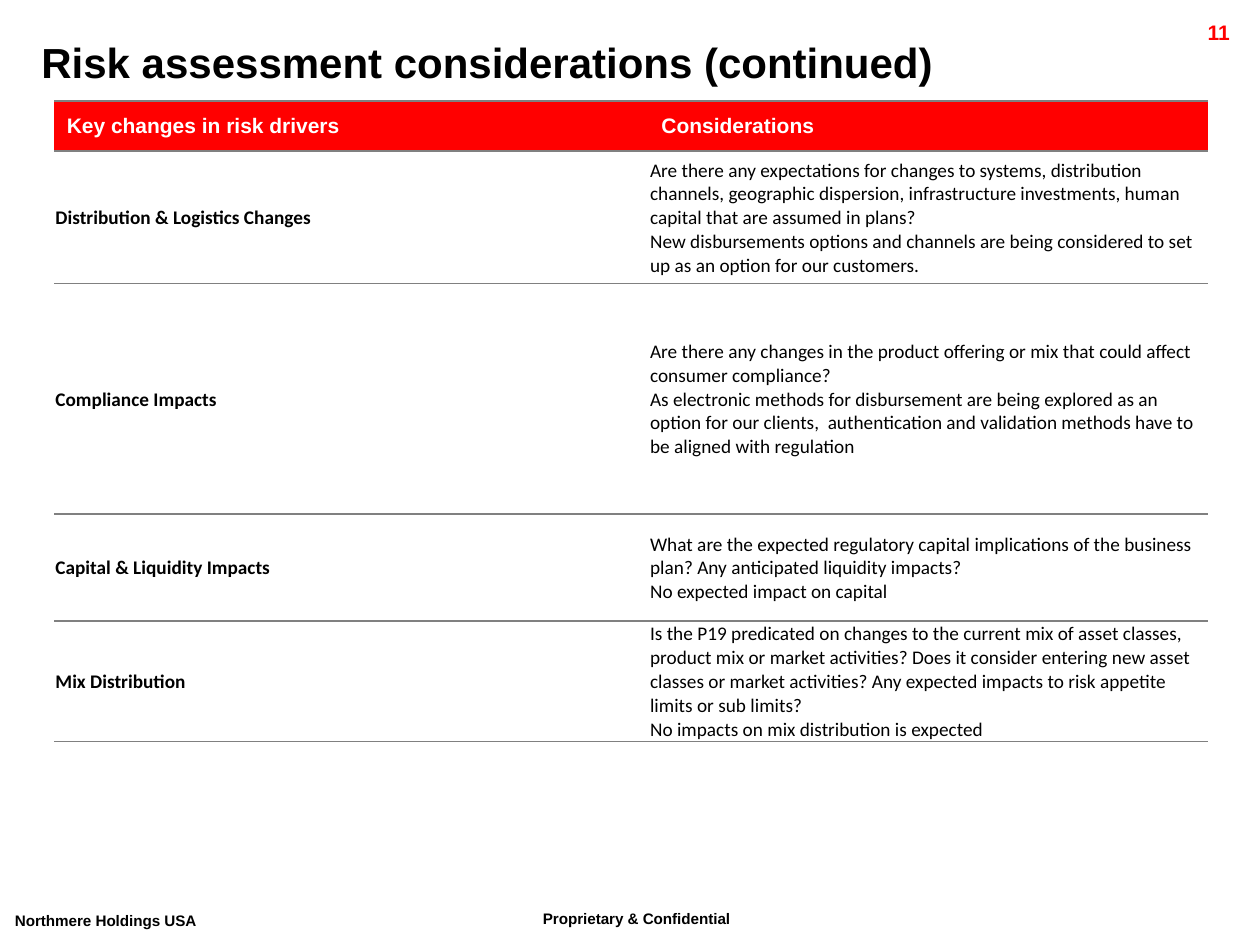
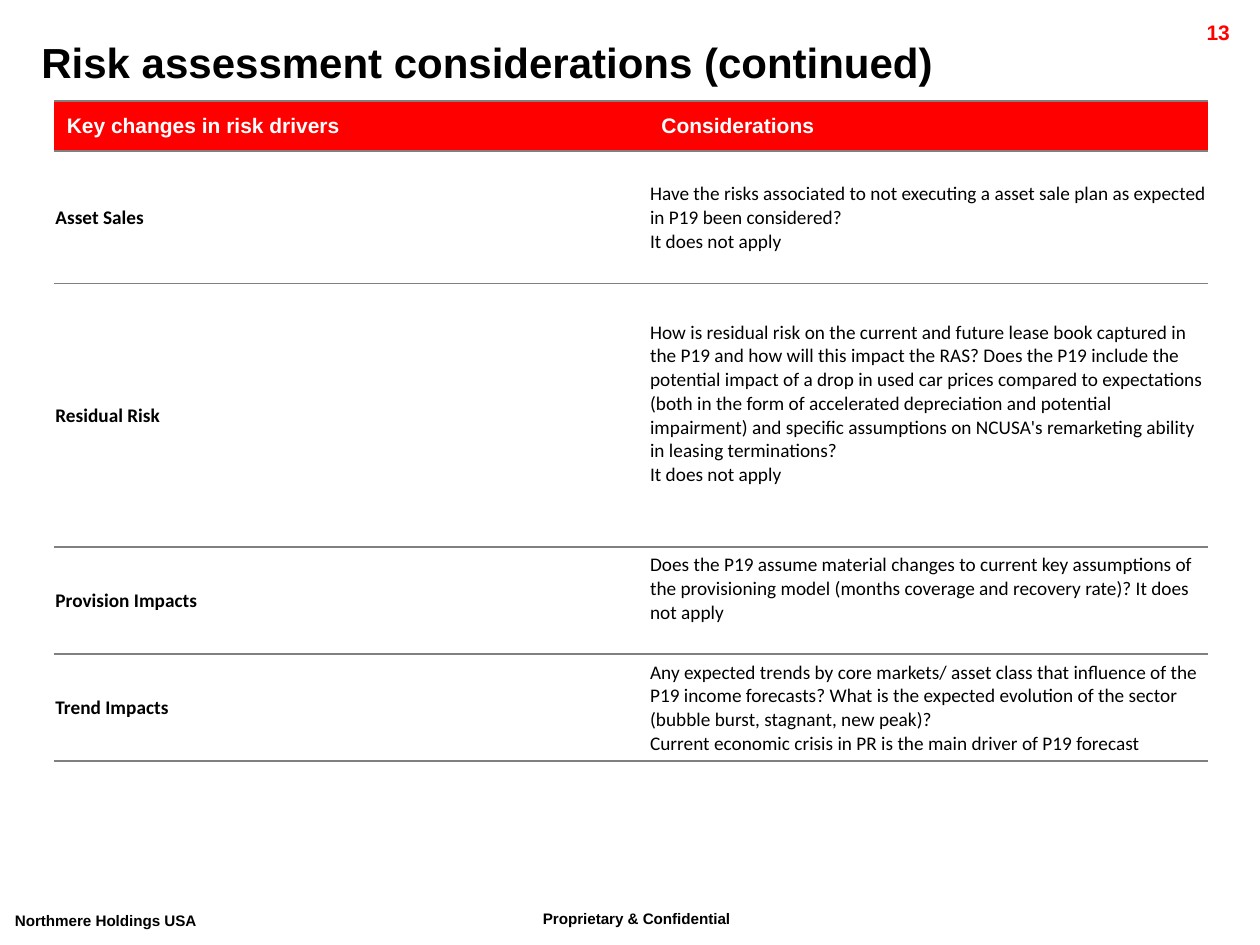
from dataclasses import dataclass

from lxml.etree import SubElement
from pptx import Presentation
from pptx.dml.color import RGBColor as RGB
from pptx.enum.text import MSO_ANCHOR as ANCHOR, MSO_AUTO_SIZE as AUTO, PP_ALIGN as ALIGN
from pptx.oxml.ns import qn
from pptx.util import Inches, Pt

TITLE = "Risk assessment considerations (continued)"
CONFIDENTIALITY = "Proprietary & Confidential"
COMPANY = "Northmere Holdings USA"
HEADINGS = ("Key changes in risk drivers", "Considerations")

# Each driver: name, row height, space kept under the considerations, considerations
SLIDES = [
    {"number": "11", "drivers": [
        ("Distribution & Logistics Changes", 1.05, 0, [
            "Are there any expectations for changes to systems, distribution channels, "
            "geographic dispersion, infrastructure investments, human capital that are "
            "assumed in plans?",
            "New disbursements options and channels are being considered to set up as an "
            "option for our customers."]),
        ("Compliance Impacts", 1.83, 0, [
            "Are there any changes in the product offering or mix that could affect "
            "consumer compliance?",
            "As electronic methods for disbursement are being explored as an option for "
            "our clients,  authentication and validation methods have to be aligned with "
            "regulation"]),
        ("Capital & Liquidity Impacts", 0.85, 0, [
            "What are the expected regulatory capital implications of the business plan? "
            "Any anticipated liquidity impacts?",
            "No expected impact on capital"]),
        ("Mix Distribution", 0.85, 0, [
            "Is the P19 predicated on changes to the current mix of asset classes, product "
            "mix or market activities? Does it consider entering new asset classes or "
            "market activities? Any expected impacts to risk appetite limits or sub limits?",
            "No impacts on mix distribution is expected"]),
    ]},
    {"number": "13", "drivers": [
        ("Asset Sales", 1.05, 0, [
            "Have the risks associated to not executing a asset sale plan as expected in "
            "P19 been considered?",
            "It does not apply"]),
        ("Residual Risk", 2.09, 0.19, [
            "How is residual risk on the current and future lease book captured in the P19 "
            "and how will this impact the RAS? Does the P19 include the potential impact of "
            "a drop in used car prices compared to expectations (both in the form of "
            "accelerated depreciation and potential impairment) and specific assumptions "
            "on NCUSA's remarketing ability in leasing terminations?",
            "It does not apply"]),
        ("Provision Impacts", 0.85, 0.19, [
            "Does the P19 assume material changes to current key assumptions of the "
            "provisioning model (months coverage and recovery rate)? It does not apply"]),
        ("Trend Impacts", 0.85, 0, [
            "Any expected trends by core markets/ asset class that influence of the P19 "
            "income forecasts? What is the expected evolution of the sector (bubble burst, "
            "stagnant, new peak)?",
            "Current economic crisis in PR is the main driver of P19 forecast"]),
    ]},
]


@dataclass(frozen=True)
class Theme:
    black: str = "000000"
    white: str = "FFFFFF"
    red: str = "FF0000"
    rule: str = "808080"
    rule_width: int = Pt(1)
    heading_font: str = "Arial"
    body_font: str = "Calibri"
    title_size: int = 24
    footer_size: int = 15
    heading_size: int = 12
    body_size: int = 11


THEME = Theme()
TABLE_LEFT, TABLE_TOP, HEADING_HEIGHT = 0.43, 0.8, 0.4
COLUMN_WIDTHS = (4.72, 4.44)


def write(frame, lines, size, color, font=THEME.heading_font, bold=True, align=ALIGN.LEFT):
    for index, line in enumerate(lines):
        paragraph = frame.paragraphs[0] if index == 0 else frame.add_paragraph()
        paragraph.alignment = align
        run = paragraph.add_run()
        run.text = line
        formats = {"size": Pt(size), "name": font, "bold": bold}
        for key, value in formats.items():
            setattr(run.font, key, value)
        run.font.color.rgb = RGB.from_string(color)


def add_text(slide, place, text, size, color=THEME.black, wrap=True, **formats):
    frame = slide.shapes.add_textbox(*map(Inches, place)).text_frame
    frame.word_wrap = wrap
    frame.auto_size = AUTO.NONE
    write(frame, [text], size, color, **formats)
    return frame


def add_footer(slide, place, text, wrap=True):
    """Footer lines are set as raised text."""
    frame = add_text(slide, place, text, THEME.footer_size, wrap=wrap)
    frame.paragraphs[0].runs[0].font.size = Pt(THEME.footer_size)
    frame.paragraphs[0].runs[0]._r.get_or_add_rPr().set("baseline", "30000")


def rule_cell(cell):
    """Grey rules above and below the cell, none at its sides."""
    properties = cell._tc.get_or_add_tcPr()
    for side in ("lnL", "lnR"):
        SubElement(SubElement(properties, qn(f"a:{side}"), w="0"), qn("a:noFill"))
    for side in ("lnT", "lnB"):
        line = SubElement(properties, qn(f"a:{side}"), w=str(THEME.rule_width))
        SubElement(SubElement(line, qn("a:solidFill")), qn("a:srgbClr"), val=THEME.rule)


def fill_heading(cell, heading):
    cell.fill.solid()
    cell.fill.fore_color.rgb = RGB.from_string(THEME.red)
    write(cell.text_frame, [heading], THEME.heading_size, THEME.white)


def fill_body(cell, lines, bold, space_below=0):
    cell.fill.background()
    margins = {"margin_left": 0.01, "margin_top": 0.01, "margin_right": 0.01,
               "margin_bottom": space_below}
    for key, value in margins.items():
        setattr(cell, key, Inches(value))
    write(cell.text_frame, lines, THEME.body_size, THEME.black, THEME.body_font, bold)


def add_driver_table(slide, drivers):
    heights = [HEADING_HEIGHT] + [height for _, height, _, _ in drivers]
    place = (TABLE_LEFT, TABLE_TOP, sum(COLUMN_WIDTHS), sum(heights))
    table = slide.shapes.add_table(len(heights), len(HEADINGS), *map(Inches, place)).table
    table.horz_banding = False
    for column, width in zip(table.columns, COLUMN_WIDTHS):
        column.width = Inches(width)
    for row, height in zip(table.rows, heights):
        row.height = Inches(height)
    for cell in table.iter_cells():
        cell.vertical_anchor = ANCHOR.MIDDLE
        rule_cell(cell)
    for column, heading in enumerate(HEADINGS):
        fill_heading(table.cell(0, column), heading)
    for row, (driver, _, space_below, considerations) in enumerate(drivers, 1):
        fill_body(table.cell(row, 0), [driver], True)
        fill_body(table.cell(row, 1), considerations, False, space_below)


def add_slide(deck, number, drivers):
    slide = deck.slides.add_slide(deck.slide_layouts[6])
    add_footer(slide, (4.21, 7.14, 2.18, 0.35), CONFIDENTIALITY)
    add_footer(slide, (0.02, 7.16, 1.91, 0.35), COMPANY, wrap=False)
    add_text(slide, (8.91, 0.11, 0.95, 0.24), number, THEME.heading_size, THEME.red,
             align=ALIGN.RIGHT)
    add_text(slide, (0.23, 0.24, 9.82, 0.5), TITLE, THEME.title_size)
    add_driver_table(slide, drivers)


def main():
    deck = Presentation()
    deck.slide_width, deck.slide_height = Inches(10), Inches(7.5)
    for content in SLIDES:
        add_slide(deck, **content)
    deck.save("out.pptx")


if __name__ == "__main__":
    main()
